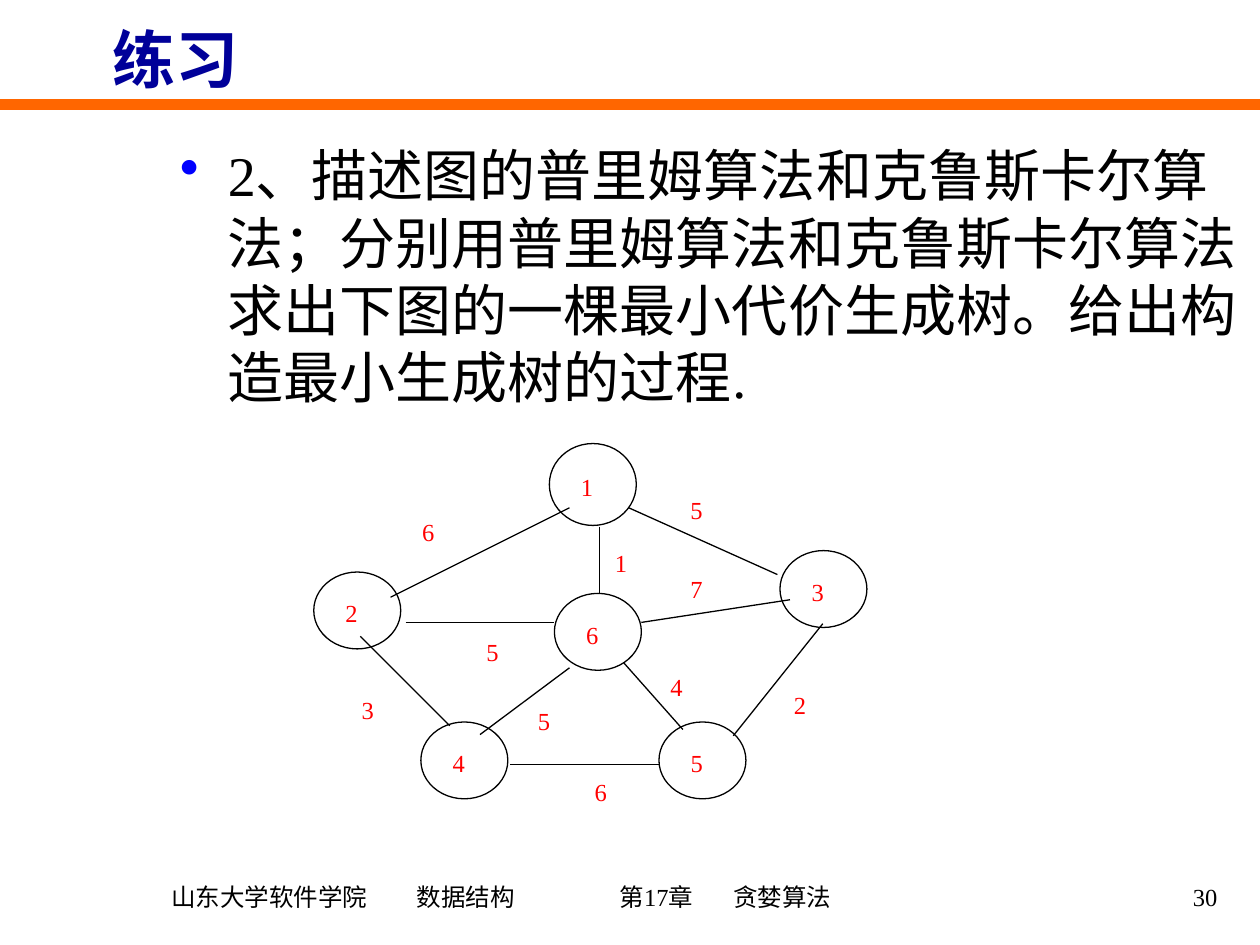
"""Build the exercise slide on minimum spanning trees."""
from dataclasses import dataclass

import pptx
import pptx.dml.color
import pptx.enum.shapes
import pptx.enum.text
import pptx.oxml
import pptx.oxml.ns
import pptx.util

Inches = pptx.util.Inches
Pt = pptx.util.Pt
Align = pptx.enum.text.PP_ALIGN
Anchor = pptx.enum.text.MSO_ANCHOR


@dataclass(frozen=True)
class Theme:
    latin: str = "Times New Roman"
    cjk: str = "Noto Sans CJK SC"
    ink: str = "000000"
    paper: str = "FFFFFF"
    title: str = "000099"
    rule: str = "FF6600"
    bullet: str = "0000FF"
    label: str = "FF0000"
    title_size: int = 36
    body_size: int = 32
    small_size: int = 14
    thin: float = 0.75
    thick: float = 6


THEME = Theme()

NODE_WIDTH = 0.69
NODES = [
    ("1", 4.36, 3.52, 0.65),
    ("2", 2.49, 4.54, 0.61),
    ("3", 6.19, 4.37, 0.61),
    ("4", 3.34, 5.73, 0.61),
    ("5", 5.23, 5.73, 0.61),
    ("6", 4.40, 4.71, 0.61),
]

EDGES = [
    ("6", (4.52, 4.03), (3.10, 4.74), (3.35, 4.10)),
    ("5", (4.99, 4.03), (6.17, 4.56), (5.48, 3.93)),
    ("3", (2.86, 5.05), (3.57, 5.76), (2.87, 5.52)),
    ("6", (4.05, 6.07), (5.23, 6.07), (4.72, 6.17)),
    ("2", (5.82, 5.84), (6.53, 4.95), (6.30, 5.48)),
    ("1", (4.76, 4.18), (4.76, 4.71), (4.88, 4.35)),
    ("5", (3.22, 4.94), (4.40, 4.94), (3.86, 5.06)),
    ("5", (3.81, 5.83), (4.52, 5.30), (4.27, 5.60)),
    ("4", (4.95, 5.26), (5.42, 5.79), (5.32, 5.33)),
    ("7", (5.09, 4.94), (6.27, 4.76), (5.48, 4.56)),
]

QUESTION = (
    "2、描述图的普里姆算法和克鲁斯卡尔算法；"
    "分别用普里姆算法和克鲁斯卡尔算法求出下图的一棵最小代价生成树。"
    "给出构造最小生成树的过程."
)
FOOTER_PARTS = ["山东大学软件学院", "数据结构", "第17章", "贪婪算法"]
FOOTER_TABS = [1.95, 3.56, 4.46]


def rgb(value):
    """Return the colour for a hex string."""
    return pptx.dml.color.RGBColor.from_string(value)


def add_element(parent, tag, **attributes):
    """Append a DrawingML element with the given attributes."""
    element = pptx.oxml.parse_xml(f"<a:{tag} {pptx.oxml.ns.nsdecls('a')}/>")
    for name, value in attributes.items():
        element.set(name, str(value))
    parent.append(element)
    return element


def add_run(paragraph, text, size, color, latin=THEME.latin, bold=False):
    """Add one formatted run to a paragraph."""
    run = paragraph.add_run()
    run.text = text
    run.font.size = Pt(size)
    run.font.bold = bold
    run.font.name = latin
    run.font.color.rgb = rgb(color)
    add_element(run.font._element, "ea", typeface=THEME.cjk)


def set_insets(frame, left, top, right, bottom):
    """Set the four text margins in inches."""
    frame.margin_left, frame.margin_top = Inches(left), Inches(top)
    frame.margin_right, frame.margin_bottom = Inches(right), Inches(bottom)


def add_text_box(slide, left, top, width, height, anchor=Anchor.TOP, wrap=True):
    """Add an empty text box and return its frame."""
    box = slide.shapes.add_textbox(
        Inches(left), Inches(top), Inches(width), Inches(height)
    )
    frame = box.text_frame
    frame.word_wrap = wrap
    frame.vertical_anchor = anchor
    return frame


def add_line(slide, start, end, color, weight):
    """Draw a straight line between two points."""
    line = slide.shapes.add_connector(
        pptx.enum.shapes.MSO_CONNECTOR.STRAIGHT,
        *(Inches(value) for value in (*start, *end)),
    )
    line.line.color.rgb = rgb(color)
    line.line.width = Pt(weight)
    add_element(line._element.spPr, "effectLst")


def add_title(slide, text):
    """Place and format the slide title."""
    title = slide.shapes.title
    title.left, title.top = Inches(0.79), Inches(-0.04)
    title.width, title.height = Inches(8.5), Inches(1)
    title.text_frame.vertical_anchor = Anchor.MIDDLE
    paragraph = title.text_frame.paragraphs[0]
    paragraph.alignment = Align.LEFT
    add_run(paragraph, text, THEME.title_size, THEME.title, THEME.cjk, True)


def add_question(slide):
    """Add the bulleted exercise question."""
    paragraph = add_text_box(slide, 1.33, 1.07, 8.67, 2.3).paragraphs[0]
    properties = paragraph._p.get_or_add_pPr()
    properties.set("marL", str(Inches(0.38)))
    properties.set("indent", str(Inches(-0.38)))
    bullet_color = add_element(properties, "buClr")
    add_element(bullet_color, "srgbClr", val=THEME.bullet)
    add_element(properties, "buChar", char="•")
    add_run(paragraph, QUESTION, THEME.body_size, THEME.ink)


def add_node(slide, name, left, top, height):
    """Draw a numbered graph node."""
    node = slide.shapes.add_shape(
        pptx.enum.shapes.MSO_SHAPE.OVAL,
        Inches(left), Inches(top), Inches(NODE_WIDTH), Inches(height),
    )
    node.shadow.inherit = False
    node.fill.solid()
    node.fill.fore_color.rgb = rgb(THEME.paper)
    node.line.color.rgb = rgb(THEME.ink)
    node.line.width = Pt(THEME.thin)
    frame = node.text_frame
    frame.word_wrap = False
    frame.vertical_anchor = Anchor.MIDDLE
    set_insets(frame, 0, 0.04, 0.09, 0)
    frame.paragraphs[0].alignment = Align.CENTER
    add_run(frame.paragraphs[0], name, THEME.small_size, THEME.label)


def add_weight(slide, weight, left, top):
    """Write an edge weight."""
    frame = add_text_box(slide, left, top, 0.1, 0.23, wrap=False)
    set_insets(frame, 0, 0, 0, 0)
    add_run(frame.paragraphs[0], weight, THEME.small_size, THEME.label)


def add_footer(slide):
    """Add the course line and the page number."""
    course = add_text_box(slide, 1.26, 6.86, 5.5, 0.51, Anchor.MIDDLE).paragraphs[0]
    tabs = add_element(course._p.get_or_add_pPr(), "tabLst")
    for position in FOOTER_TABS:
        add_element(tabs, "tab", pos=Inches(position), algn="l")
    add_run(course, "\t".join(FOOTER_PARTS), THEME.small_size, THEME.ink)
    page = add_text_box(slide, 7.68, 6.87, 2.08, 0.5, Anchor.MIDDLE).paragraphs[0]
    page.alignment = Align.RIGHT
    add_run(page, "30", THEME.small_size, THEME.ink)


def main():
    """Build and save the slide."""
    deck = pptx.Presentation()
    deck.slide_width, deck.slide_height = Inches(10), Inches(7.5)
    slide = deck.slides.add_slide(deck.slide_layouts.get_by_name("Title Only"))
    add_line(slide, (0, 0.83), (10, 0.83), THEME.rule, THEME.thick)
    add_title(slide, "练习")
    add_question(slide)
    for node in NODES:
        add_node(slide, *node)
    for weight, start, end, label_at in EDGES:
        add_line(slide, start, end, THEME.ink, THEME.thin)
        add_weight(slide, weight, *label_at)
    add_footer(slide)
    deck.save("out.pptx")


if __name__ == "__main__":
    main()
